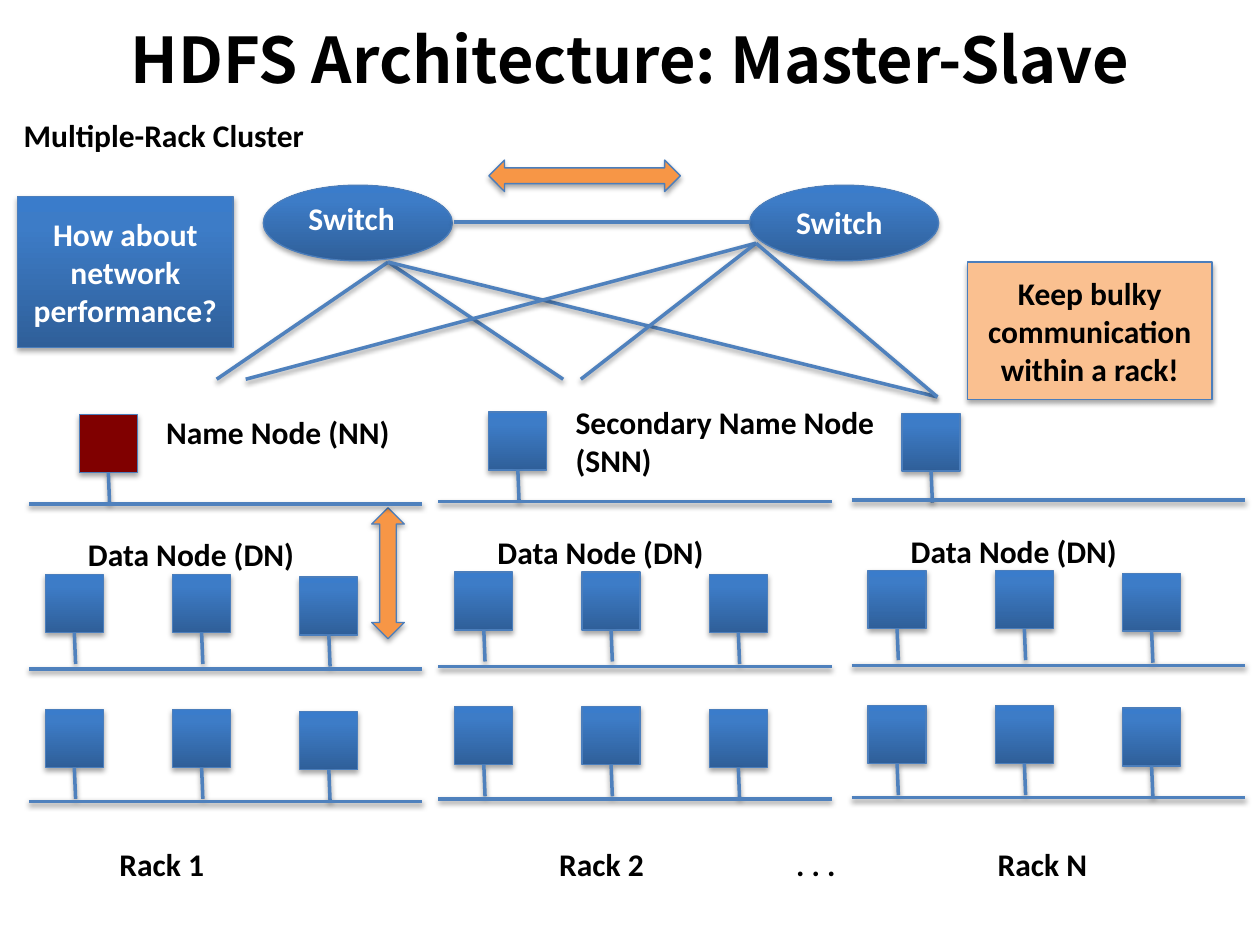
"""Build the HDFS master-slave architecture slide."""
from copy import deepcopy
from lxml.etree import SubElement
from pptx import Presentation
from pptx.dml.color import RGBColor
from pptx.enum.shapes import MSO_CONNECTOR, MSO_SHAPE
from pptx.enum.text import MSO_ANCHOR, PP_ALIGN
from pptx.oxml.ns import qn
from pptx.util import Inches, Pt

color = RGBColor.from_string
GRADIENT = [(0, "2F5F99"), (0.8, "3D7CC7"), (1, "3A7CCB")]


def add_shadow(shape, opacity, distance):
    effects = SubElement(shape._element.spPr, qn("a:effectLst"))
    shadow = SubElement(effects, qn("a:outerShdw"), blurRad=str(Pt(3.1)), dist=str(Pt(distance)),
                        dir="5400000", rotWithShape="0")
    tone = SubElement(shadow, qn("a:srgbClr"), val="000000")
    SubElement(tone, qn("a:alpha"), val=str(opacity * 1000))


def write(shape, text, text_color="000000", size=18, font="Calibri", centered=False):
    frame = shape.text_frame
    frame.word_wrap = True
    paragraph = frame.paragraphs[0]
    frame.vertical_anchor = MSO_ANCHOR.MIDDLE if centered else MSO_ANCHOR.TOP
    paragraph.alignment = PP_ALIGN.CENTER if centered else PP_ALIGN.LEFT
    run = paragraph.add_run()
    run.text = text
    run.font.size = Pt(size)
    run.font.name = font
    run.font.bold = True
    run.font.color.rgb = color(text_color)


presentation = Presentation()
presentation.slide_width = Inches(10)
presentation.slide_height = Inches(7.5)
slide = presentation.slides.add_slide(presentation.slide_layouts[6])

title = slide.shapes.add_textbox(Inches(0.5), Inches(-0.16), Inches(9), Inches(1.25))
write(title, "HDFS Architecture: Master-Slave", size=36, font="Noto Sans CJK SC", centered=True)

# kind, left, top, width, height, solid fill or None for the gradient, text, text colour
shapes = [
    (MSO_SHAPE.OVAL, 2.09, 1.47, 1.5, 0.6, None, "", ""),
    (MSO_SHAPE.OVAL, 5.95, 1.47, 1.5, 0.6, None, "", ""),
    (MSO_SHAPE.UP_DOWN_ARROW, 2.95, 4.03, 0.26, 1.04, "F79646", "", ""),
    (MSO_SHAPE.LEFT_RIGHT_ARROW, 3.88, 1.27, 1.52, 0.25, "F79646", "", ""),
    (MSO_SHAPE.RECTANGLE, 7.68, 2.08, 1.94, 1.09, "FAC090",
     "Keep bulky communication within a rack!", "000000"),
    (MSO_SHAPE.RECTANGLE, 0.14, 1.56, 1.71, 1.2, None,
     "How about network performance?", "FFFFFF"),
]
lines = [
    (3.6, 1.76, 5.95, 1.76),
    (3.08, 2.08, 1.72, 3.01),
    (3.08, 2.08, 4.47, 3.01),
    (3.08, 2.08, 7.44, 3.15),
    (1.95, 3.01, 6, 1.93),
    (4.61, 3.01, 6, 1.93),
    (7.44, 3.15, 6, 1.93),
]
labels = [
    ("Multiple-Rack Cluster", 0.09, 0.87, 2.53, 0.4, "000000"),
    ("Switch", 2.35, 1.53, 0.97, 0.4, "FFFFFF"),
    ("Switch", 6.22, 1.56, 1.06, 0.4, "FFFFFF"),
    ("Name Node (NN)", 1.22, 3.23, 2.1, 0.4, "000000"),
    ("Secondary Name Node (SNN)", 4.47, 3.15, 3.21, 0.71, "000000"),
    (". . .", 6.22, 6.66, 0.67, 0.4, "000000"),
]

racks = [
    ("Rack 1", 0.85, 0.23, 0, 3.29, "800000"),
    ("Rack 2", 4.34, 3.48, -0.02, 3.27, None),
    ("Rack N", 7.82, 6.76, -0.03, 3.28, None),
]
for name, name_left, rack_left, shift, master_top, master_fill in racks:
    labels.append((name, name_left, 6.66, 1.06, 0.4, "000000"))
    labels.append(("Data Node (DN)", rack_left + 0.37, 4.2 + shift, 2.1, 0.4, "000000"))
    nodes = [(rack_left + 0.4, master_top, master_fill)]
    for row_top in (4.56, 5.63):
        for column in range(3):
            drop = 0.02 if column == 2 else 0
            nodes.append((rack_left + 0.13 + 1.01 * column, row_top + shift + drop, None))
    for left, top, fill in nodes:
        shapes.append((MSO_SHAPE.RECTANGLE, left, top, 0.46, 0.46, fill, "", ""))
        lines.append((left + 0.23, top + 0.46, left + 0.24, top + 0.71))
    for rail_top in (4, 5.31, 6.36):
        lines.append((rack_left, rail_top + shift, rack_left + 3.12, rail_top + shift))

for kind, left, top, width, height, fill, text, text_color in shapes:
    shape = slide.shapes.add_shape(kind, Inches(left), Inches(top), Inches(width), Inches(height))
    if fill:
        shape.fill.solid()
        shape.fill.fore_color.rgb = color(fill)
    else:
        shape.fill.gradient()
        shape.fill.gradient_angle = 90
        stop_list = shape._element.spPr.find(qn("a:gradFill")).find(qn("a:gsLst"))
        stop_list.insert(1, deepcopy(stop_list[0]))
        for stop, (position, stop_color) in zip(shape.fill.gradient_stops, GRADIENT):
            stop.position = position
            stop.color.rgb = color(stop_color)
    shape.line.color.rgb = color("4B7EBC")
    shape.line.width = Pt(0.75)
    add_shadow(shape, 35, 1.8)
    if text:
        write(shape, text, text_color, centered=True)

for start_x, start_y, end_x, end_y in lines:
    connector = slide.shapes.add_connector(MSO_CONNECTOR.STRAIGHT, Inches(start_x), Inches(start_y),
                                           Inches(end_x), Inches(end_y))
    connector.line.color.rgb = color("4F81BD")
    connector.line.width = Pt(2)
    add_shadow(connector, 38, 1.6)

for text, left, top, width, height, text_color in labels:
    label = slide.shapes.add_textbox(Inches(left), Inches(top), Inches(width), Inches(height))
    write(label, text, text_color)

presentation.save("out.pptx")
